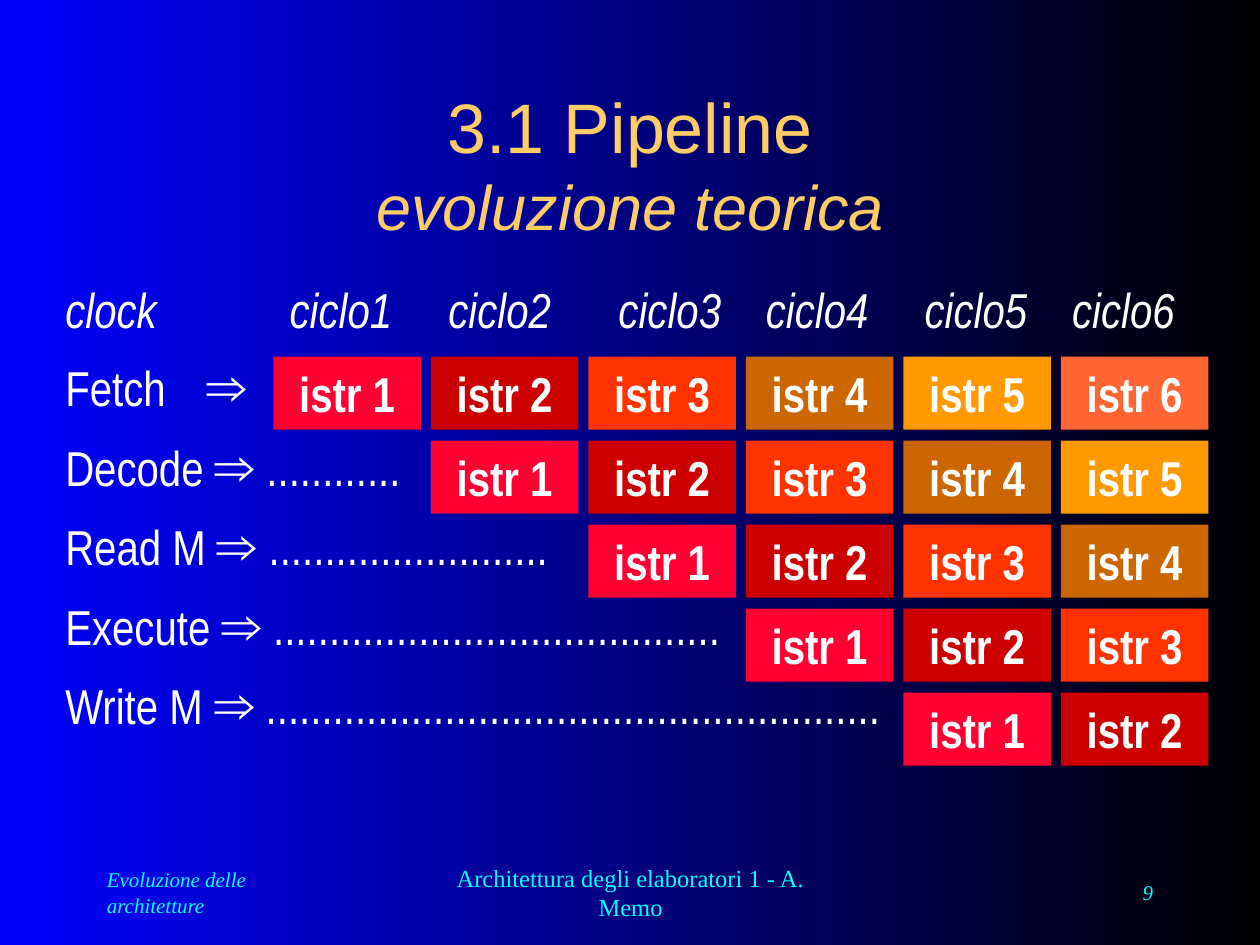
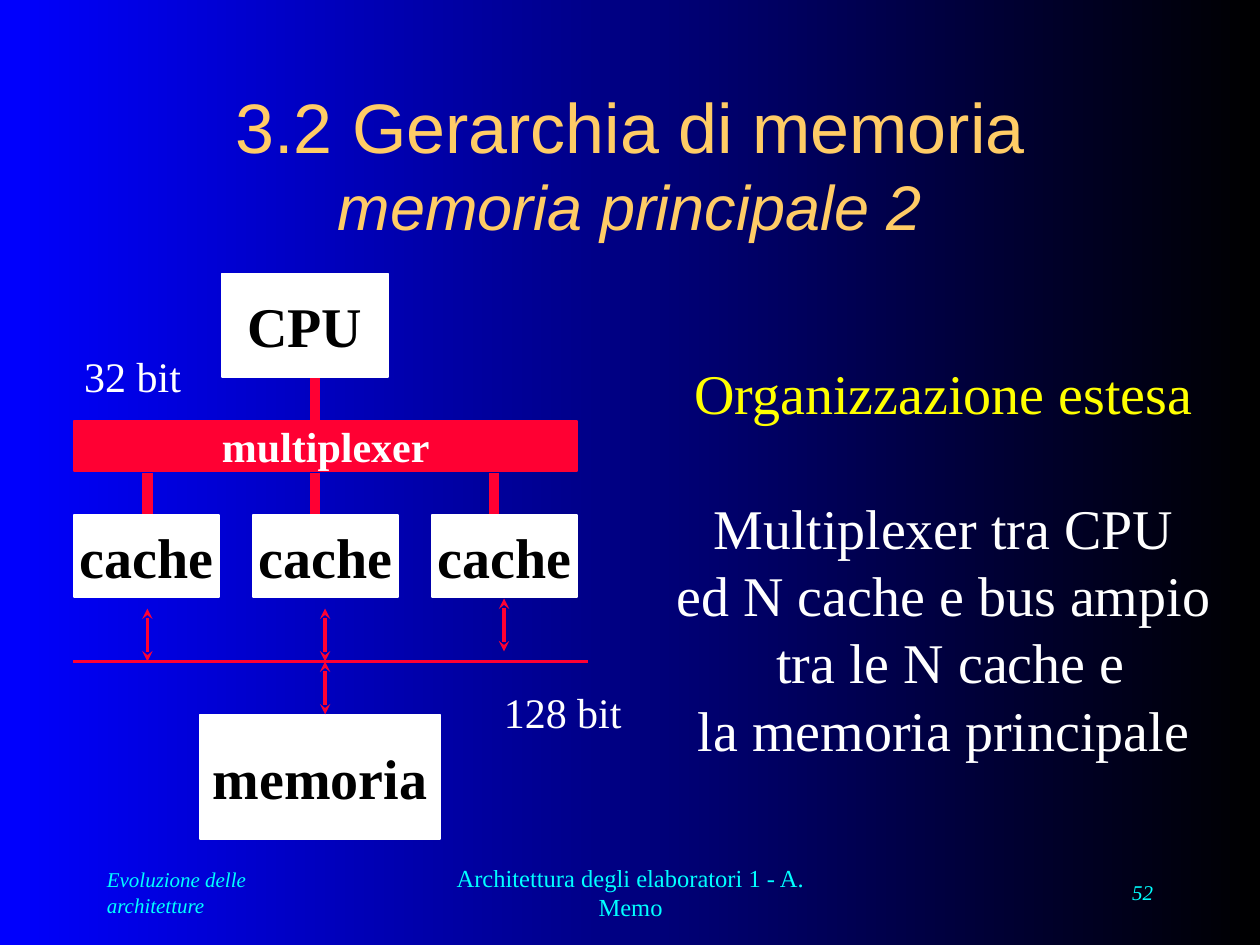
from dataclasses import dataclass
from typing import Any

from lxml import etree
from pptx import Presentation
from pptx.dml.color import RGBColor
from pptx.enum.shapes import MSO_CONNECTOR, MSO_SHAPE
from pptx.enum.text import MSO_ANCHOR, PP_ALIGN
from pptx.oxml.ns import qn
from pptx.util import Inches, Pt

LEFT, MID, RIGHT = PP_ALIGN.LEFT, PP_ALIGN.CENTER, PP_ALIGN.RIGHT
TOP, CENTER = MSO_ANCHOR.TOP, MSO_ANCHOR.MIDDLE
RECT, LINE = MSO_SHAPE.RECTANGLE, MSO_CONNECTOR.STRAIGHT

SERIF, SANS, THIN = "Times New Roman", "Arial", "Arial Narrow"
BLUE, BLACK, WHITE = "0000FF", "000000", "FFFFFF"
GOLD, CYAN, YELLOW, RED = "FFCC66", "00FFFF", "FFFF00", "FF0033"
HUES = [RED, "CC0000", "FF3300", "CC6600", "FF9900", "FF6633"]
STAGES = [("Fetch\t", 0), ("Decode ", 12), ("Read M ", 25), ("Execute ", 40), ("Write M ", 55)]
STOPS = [1.78, 3.04, 4.39, 5.56, 6.82, 7.99]


@dataclass
class Font:
    size: float
    face: str = SERIF
    color: str = WHITE
    bold: bool = False
    slant: bool = False


@dataclass
class Box:
    x: float
    y: float
    w: float
    h: float


@dataclass
class Wire:
    x1: float
    y1: float
    x2: float
    y2: float
    width: float
    tips: bool = False


HEAD = Font(40, SANS, GOLD)
SUB = Font(36, SANS, GOLD, slant=True)
SMALL = Font(12, color=CYAN, slant=True)
FOOT = Font(14, color=CYAN)
ROW = Font(28, THIN)
CLOCK = Font(28, THIN, slant=True)
ARROW = Font(32, SANS)
CELL = Font(28, THIN, bold=True)
BLOCK = Font(32, color=BLACK, bold=True)
MUX = Font(24, bold=True)
LABEL = Font(24)
BODY = Font(32)
TOPIC = Font(32, color=YELLOW)


def rgb(code: str) -> RGBColor:
    return RGBColor.from_string(code)


def place(shape: Any, box: Box) -> None:
    shape.left, shape.top = Inches(box.x), Inches(box.y)
    shape.width, shape.height = Inches(box.w), Inches(box.h)


def add_run(para: Any, text: str, font: Font) -> None:
    run = para.add_run()
    run.text = text
    run.font.size, run.font.name = Pt(font.size), font.face
    run.font.bold, run.font.italic = font.bold, font.slant
    run.font.color.rgb = rgb(font.color)


def set_tabs(para: Any, stops: list[float]) -> None:
    tabs = etree.SubElement(para._p.get_or_add_pPr(), qn("a:tabLst"))
    for stop in stops:
        etree.SubElement(tabs, qn("a:tab"), pos=str(Inches(stop)), algn="l")


def add_text(slide: Any, box: Box, text: str, font: Font,
             align: Any = LEFT, anchor: Any = TOP) -> Any:
    shape = slide.shapes.add_textbox(0, 0, 0, 0)
    place(shape, box)
    frame = shape.text_frame
    frame.word_wrap, frame.vertical_anchor = False, anchor
    frame.paragraphs[0].alignment = align
    add_run(frame.paragraphs[0], text, font)
    return frame


def add_block(slide: Any, box: Box, text: str, font: Font, fill: str, edge: bool = True) -> None:
    shape = slide.shapes.add_shape(RECT, 0, 0, 0, 0)
    place(shape, box)
    shape.shadow.inherit = False
    shape.fill.solid()
    shape.fill.fore_color.rgb = rgb(fill)
    if edge:
        shape.line.color.rgb, shape.line.width = rgb(fill), Pt(1)
    else:
        shape.line.fill.background()
    frame = shape.text_frame
    frame.word_wrap, frame.vertical_anchor = False, CENTER
    frame.paragraphs[0].alignment = MID
    add_run(frame.paragraphs[0], text, font)


def add_wire(slide: Any, wire: Wire) -> None:
    ends = [Inches(v) for v in (wire.x1, wire.y1, wire.x2, wire.y2)]
    shape = slide.shapes.add_connector(LINE, *ends)
    shape.line.color.rgb, shape.line.width = rgb(RED), Pt(wire.width)
    if wire.tips:
        for tag in ("a:headEnd", "a:tailEnd"):
            etree.SubElement(shape.line._get_or_add_ln(), qn(tag), type="stealth")
    etree.SubElement(shape._element.spPr, qn("a:effectLst"))


def add_slide(deck: Any, head: str, sub: str, page: int) -> Any:
    slide = deck.slides.add_slide(deck.slide_layouts[5])
    title = slide.shapes.title
    place(title, Box(0.75, 0.67, 8.5, 1.25))
    frame = title.text_frame
    frame.word_wrap, frame.vertical_anchor = True, CENTER
    para = frame.paragraphs[0]
    para.alignment = MID
    add_run(para, head, HEAD)
    para.add_line_break()
    add_run(para, sub, SUB)
    add_text(slide, Box(0.75, 6.83, 2.08, 0.5), "Evoluzione delle architetture", SMALL, LEFT, CENTER)
    add_text(slide, Box(3.42, 6.83, 3.17, 0.5), "Architettura degli elaboratori 1 - A. Memo",
             FOOT, MID, CENTER)
    add_text(slide, Box(7.17, 6.83, 2.08, 0.5), str(page), SMALL, RIGHT, CENTER)
    return slide


def draw_pipe(deck: Any) -> None:
    slide = add_slide(deck, "3.1 Pipeline", "evoluzione teorica", 9)
    names = ["clock"] + [f"ciclo{n}" for n in range(1, 7)]
    frame = add_text(slide, Box(0.42, 2.17, 9.25, 3.83), "\t".join(names), CLOCK)
    frame.word_wrap = True
    set_tabs(frame.paragraphs[0], STOPS)
    for name, dots in STAGES:
        para = frame.add_paragraph()
        set_tabs(para, [1.12])
        para.space_before = Pt(7)
        add_run(para, name, ROW)
        add_run(para, "⇒", ARROW)
        if dots:
            add_run(para, " " + "." * dots, ROW)
    for row in range(len(STAGES)):
        for col in range(row, len(HUES)):
            step = col - row
            box = Box(2.17 + 1.25 * col, 2.83 + row * 2 / 3, 1.17, 0.58)
            add_block(slide, box, f"istr {step + 1}", CELL, HUES[step], edge=False)


def draw_memory(deck: Any) -> None:
    slide = add_slide(deck, "3.2 Gerarchia di memoria", "memoria principale 2", 52)
    frame = add_text(slide, Box(5.27, 2.8, 4.44, 3.3), "Organizzazione estesa", TOPIC, MID)
    lines = ["Multiplexer tra CPU", "ed N cache e bus ampio", " tra le N cache e", "la memoria principale"]
    for num, line in enumerate(lines):
        para = frame.add_paragraph()
        para.alignment = MID
        if num == 0:
            para.space_before = Pt(38.4)
        add_run(para, line, BODY)

    add_block(slide, Box(1.59, 5.67, 1.9, 0.99), "memoria", BLOCK, WHITE)
    add_block(slide, Box(0.59, 3.34, 3.99, 0.4), "multiplexer", MUX, RED)
    add_wire(slide, Wire(2.5, 3, 2.5, 3.33, 6))
    for x in (1.17, 2.5, 3.92):
        add_wire(slide, Wire(x, 3.75, x, 4.08, 6))
    add_block(slide, Box(1.76, 2.17, 1.32, 0.82), "CPU", BLOCK, WHITE)
    for num in range(3):
        add_block(slide, Box(0.59 + 1.42 * num, 4.09, 1.15, 0.65), "cache", BLOCK, WHITE)
    add_wire(slide, Wire(0.58, 5.25, 4.67, 5.25, 2))
    for x, y in ((1.17, 4.83), (2.58, 4.83), (4, 4.75), (2.58, 5.25)):
        add_wire(slide, Wire(x, y, x, y + 0.42, 2, tips=True))
    add_text(slide, Box(3.9, 5.4, 1.14, 0.5), "128 bit", LABEL)
    add_text(slide, Box(0.57, 2.73, 0.97, 0.5), "32 bit", LABEL)


def main() -> None:
    deck = Presentation()
    deck.slide_width, deck.slide_height = Inches(10), Inches(7.5)
    fill = deck.slide_master.background.fill
    fill.gradient()
    fill.gradient_angle = 0
    for stop, code in zip(fill.gradient_stops, (BLUE, BLACK)):
        stop.color.rgb = rgb(code)
    draw_pipe(deck)
    draw_memory(deck)
    deck.save("out.pptx")


if __name__ == "__main__":
    main()
